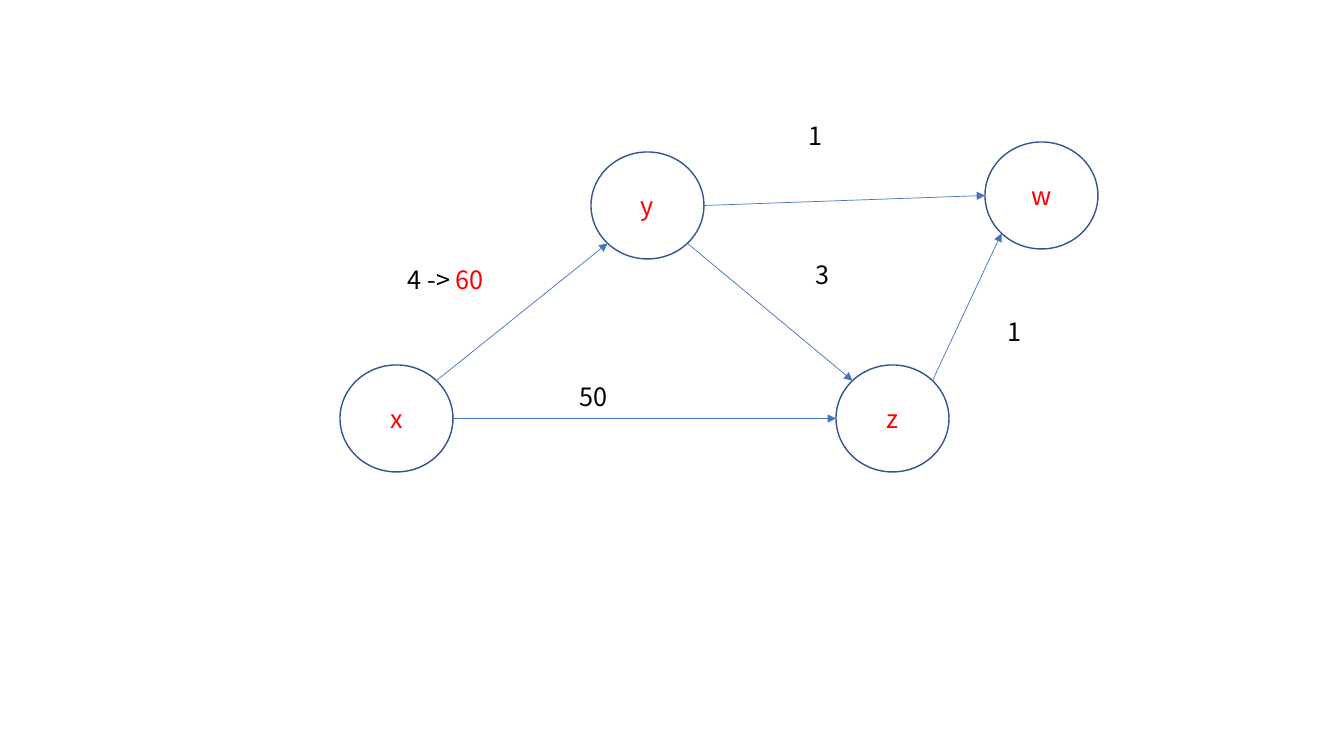
import math
import pptx
import pptx.dml.color
import pptx.enum.shapes
import pptx.enum.text
import pptx.oxml
import pptx.oxml.ns
import pptx.util

SCALE = 914400 / 100.8
WIDE, HIGH = 113, 107
NODES = {"y": (591, 152), "x": (340, 365), "z": (836, 365), "w": (985, 142)}
# Start node and rim angle, end node and rim angle (clockwise degrees from right)
EDGES = [
    ("x", -45, "y", 135),
    ("x", 0, "z", 180),
    ("y", 0, "w", 180),
    ("z", -45, "w", 135),
    ("y", 45, "z", -135),
]
COSTS = [
    (398, 259, 113, [("4 -> ", "000000"), ("60", "FF0000")]),
    (806, 254, 58, [("3", "000000")]),
    (570, 376, 58, [("50", "000000")]),
    (799, 115, 58, [("1", "000000")]),
    (998, 311, 58, [("1", "000000")]),
]


def emu(*pixels):
    """Turn pixels into EMU lengths."""
    return [pptx.util.Emu(round(n * SCALE)) for n in pixels]


def color(code):
    """Turn a hex string into a colour."""
    return pptx.dml.color.RGBColor.from_string(code)


def rim(name, angle):
    """Find the point on a node's rim at an angle."""
    left, top = NODES[name]
    turn = math.radians(angle)
    return (left + WIDE / 2 * (1 + math.cos(turn)),
            top + HIGH / 2 * (1 + math.sin(turn)))


class Graph:
    """Draws graph parts on one slide in one style."""

    font = "Noto Sans CJK KR"
    size = 18

    def __init__(self, slide):
        """Keep the slide's shapes."""
        self.shapes = slide.shapes

    def label(self, para, parts):
        """Add coloured runs to a paragraph."""
        for text, code in parts:
            run = para.add_run()
            run.text = text
            run.font.name = self.font
            run.font.size = pptx.util.Pt(self.size)
            run.font.color.rgb = color(code)

    def node(self, name):
        """Add a named circle."""
        oval = self.shapes.add_shape(
            pptx.enum.shapes.MSO_SHAPE.OVAL, *emu(*NODES[name], WIDE, HIGH))
        oval.shadow.inherit = False
        oval.fill.solid()
        oval.fill.fore_color.rgb = color("FFFFFF")
        oval.line.color.rgb = color("325491")
        oval.line.width = pptx.util.Pt(1)
        frame = oval.text_frame
        frame.vertical_anchor = pptx.enum.text.MSO_ANCHOR.MIDDLE
        para = frame.paragraphs[0]
        para.alignment = pptx.enum.text.PP_ALIGN.CENTER
        self.label(para, [(name, "FF0000")])

    def cost(self, left, top, width, parts):
        """Add an edge's cost label."""
        frame = self.shapes.add_textbox(*emu(left, top, width, 40)).text_frame
        frame.word_wrap = True
        frame.auto_size = pptx.enum.text.MSO_AUTO_SIZE.SHAPE_TO_FIT_TEXT
        self.label(frame.paragraphs[0], parts)

    def edge(self, start, leave, end, enter):
        """Add an arrow from rim to rim."""
        link = self.shapes.add_connector(
            pptx.enum.shapes.MSO_CONNECTOR.STRAIGHT,
            *emu(*rim(start, leave), *rim(end, enter)))
        link.line.color.rgb = color("4472C4")
        link.line.width = pptx.util.Pt(0.5)
        space = pptx.oxml.ns.nsdecls("a")
        props = link.element.spPr
        props.find(pptx.oxml.ns.qn("a:ln")).append(
            pptx.oxml.parse_xml(f'<a:tailEnd {space} type="triangle"/>'))
        props.append(pptx.oxml.parse_xml(f"<a:effectLst {space}/>"))


def main():
    """Build and save the slide."""
    deck = pptx.Presentation()
    deck.slide_width, deck.slide_height = emu(1344, 756)
    graph = Graph(deck.slides.add_slide(deck.slide_layouts[6]))
    for name in NODES:
        graph.node(name)
    for cost in COSTS:
        graph.cost(*cost)
    for link in EDGES:
        graph.edge(*link)
    deck.save("out.pptx")


main()
